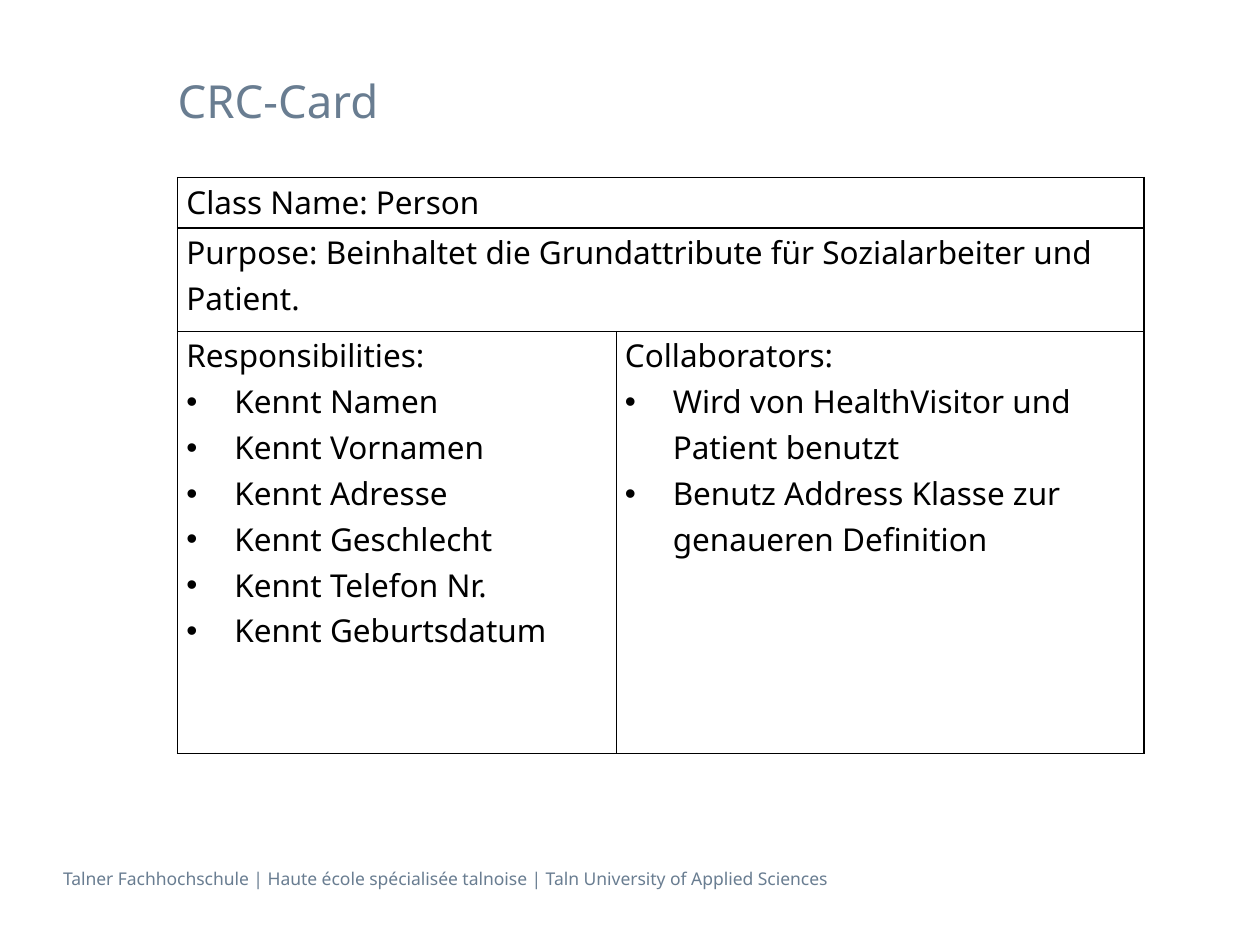
from lxml import etree
from pptx import Presentation
from pptx.dml.color import RGBColor
from pptx.enum import text
from pptx.oxml import ns
from pptx.util import Inches, Pt

HEX = {"slate": "697D91", "ink": "000000"}
FACE = "Noto Sans"


def write(para, words, size, tone):
    run = para.add_run()
    run.text = words
    para.alignment = text.PP_ALIGN.LEFT
    for key, val in {"name": FACE, "size": Pt(size), "bold": False}.items():
        setattr(run.font, key, val)
    run.font.color.rgb = RGBColor.from_string(HEX[tone])


def edge(cell, side, width):
    line = etree.SubElement(cell._tc.get_or_add_tcPr(), ns.qn("a:ln" + side), w=str(Pt(width)))
    fill = etree.SubElement(line, ns.qn("a:solidFill"))
    etree.SubElement(fill, ns.qn("a:srgbClr"), val=HEX["ink"])


deck = Presentation()
deck.slide_width, deck.slide_height = Inches(10), Inches(7.5)
slide = deck.slides.add_slide(deck.slide_layouts[5])

title = slide.shapes.title
foot = slide.shapes.add_textbox(0, 0, 0, 0)
labels = [
    (title, (1.41, 0.58, 7.67, 0.59), 26, "CRC-Card"),
    (foot, (0.5, 6.89, 7.31, 0.17), 10,
     "Talner Fachhochschule | Haute école spécialisée talnoise | Taln University of Applied Sciences"),
]
for box, place, size, words in labels:
    box.left, box.top, box.width, box.height = map(Inches, place)
    frame = box.text_frame
    form = {
        "margin_left": 0, "margin_top": 0, "margin_right": 0, "margin_bottom": 0,
        "word_wrap": True, "auto_size": text.MSO_AUTO_SIZE.NONE,
        "vertical_anchor": text.MSO_ANCHOR.TOP,
    }
    for key, val in form.items():
        setattr(frame, key, val)
    write(frame.paragraphs[0], words, size, "slate")

cols, rows = [3.48, 4.19], [0.4, 0.82, 3.35]
card = slide.shapes.add_table(
    len(rows), len(cols), Inches(1.41), Inches(1.41), Inches(sum(cols)), Inches(sum(rows))
).table
card.first_row = card.horz_banding = False
for col, width in zip(card.columns, cols):
    col.width = Inches(width)
for row, height in zip(card.rows, rows):
    row.height = Inches(height)

for r in range(len(rows)):
    for c in range(len(cols)):
        cell = card.cell(r, c)
        outer = {"L": c == 0, "R": c == len(cols) - 1, "T": r == 0, "B": r == len(rows) - 1}
        for side, out in outer.items():
            edge(cell, side, 1 if out else 0.75)
        cell.fill.background()
for r in range(2):
    card.cell(r, 0).merge(card.cell(r, 1))

facts = ["Namen", "Vornamen", "Adresse", "Geschlecht", "Telefon Nr.", "Geburtsdatum"]
parts = {
    (0, 0): ["Class Name: Person"],
    (1, 0): ["Purpose: Beinhaltet die Grundattribute für Sozialarbeiter und Patient."],
    (2, 0): ["Responsibilities:"] + ["Kennt " + fact for fact in facts],
    (2, 1): [
        "Collaborators:",
        "Wird von HealthVisitor und Patient benutzt",
        "Benutz Address Klasse zur genaueren Definition",
    ],
}
for (r, c), lines in parts.items():
    cell = card.cell(r, c)
    form = {
        "margin_left": Inches(0.07), "margin_right": Inches(0.07),
        "margin_top": 0, "margin_bottom": 0, "vertical_anchor": text.MSO_ANCHOR.TOP,
    }
    for key, val in form.items():
        setattr(cell, key, val)
    frame = cell.text_frame
    for i, words in enumerate(lines):
        para = frame.add_paragraph() if i else frame.paragraphs[0]
        para.line_spacing = 1.07
        write(para, words, 18, "ink")
        if i:
            prop = para._p.get_or_add_pPr()
            prop.set("marL", str(Inches(0.38)))
            prop.set("indent", str(-Inches(0.38)))
            etree.SubElement(prop, ns.qn("a:buFont"), typeface="Arial")
            etree.SubElement(prop, ns.qn("a:buChar"), char="•")

deck.save("out.pptx")
